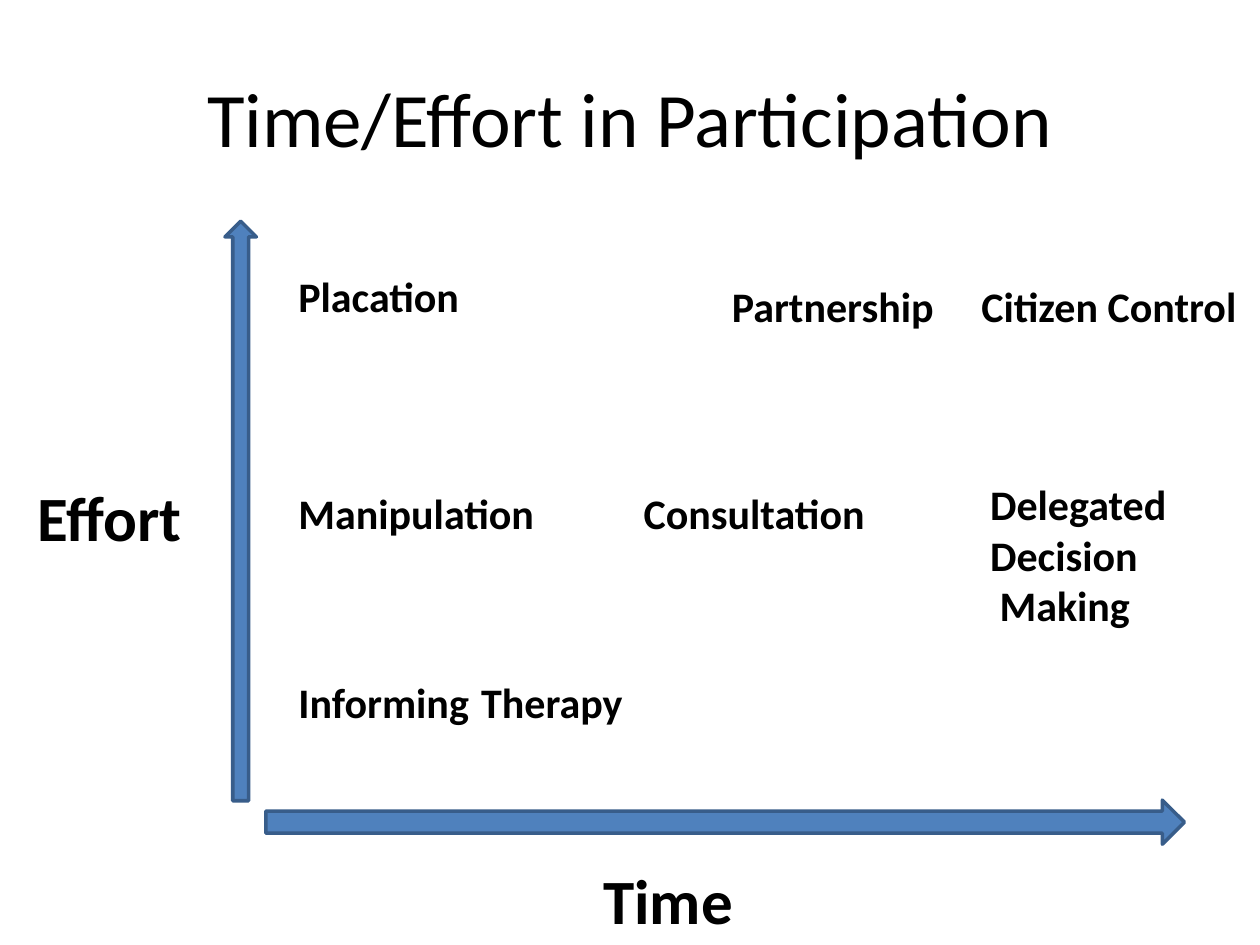
from dataclasses import dataclass

from pptx import Presentation
from pptx.dml.color import RGBColor
from pptx.enum.shapes import MSO_SHAPE
from pptx.enum.text import MSO_ANCHOR, PP_ALIGN
from pptx.util import Inches, Pt

ARROW = MSO_SHAPE.RIGHT_ARROW
MIDDLE = MSO_ANCHOR.MIDDLE
CENTER = PP_ALIGN.CENTER

COLORS = {"text": "000000", "fill": "4F81BD", "line": "385D8A"}
ROWS = {"high": 2.18, "mid": 3.82, "low": 5.32}
LEFT = 2.27


@dataclass
class Label:
    text: str
    left: float
    top: float
    width: float
    height: float = 0.5
    size: int = 24


@dataclass
class Axis:
    left: float
    top: float
    width: float
    height: float
    turn: int = 0


LABELS = [
    Label("Manipulation", LEFT, ROWS["mid"], 2.15),
    Label("Citizen Control", 7.69, ROWS["high"], 2.31),
    Label("Placation", LEFT, 2.1, 1.54),
    Label("Informing", LEFT, ROWS["low"], 1.61),
    Label("Partnership", 5.71, ROWS["high"], 1.87),
    Label("Consultation", 5.01, ROWS["mid"], 2.04),
    Label("Therapy", 3.72, ROWS["low"], 1.37),
    Label("Delegated Decision\n Making", 7.76, 3.75, 2.14, 1.3),
    Label("Effort", 0.2, 3.75, 1.41, 0.7, 36),
    Label("Time", 4.69, 6.79, 1.41, 0.7, 36),
]
AXES = [Axis(2.11, 6.35, 7.29, 0.35), Axis(-0.39, 3.93, 4.6, 0.25, 270)]


def color(name: str) -> RGBColor:
    return RGBColor.from_string(COLORS[name])


def style(frame, size: int, bold: bool) -> None:
    form = {"name": "Calibri", "size": Pt(size), "bold": bold}
    for para in frame.paragraphs:
        for run in para.runs:
            for key, value in form.items():
                setattr(run.font, key, value)
            run.font.color.rgb = color("text")


def place(shape, left: float, top: float, width: float, height: float) -> None:
    spots = {"left": left, "top": top, "width": width, "height": height}
    for key, value in spots.items():
        setattr(shape, key, Inches(value))


def add_title(slide, text: str) -> None:
    title = slide.shapes.title
    place(title, 0.5, 0.3, 9, 1.25)
    frame = title.text_frame
    frame.text = text
    frame.vertical_anchor = MIDDLE
    frame.paragraphs[0].alignment = CENTER
    style(frame, 44, False)


def add_axis(slide, axis: Axis) -> None:
    spot = map(Inches, (axis.left, axis.top, axis.width, axis.height))
    shape = slide.shapes.add_shape(ARROW, *spot)
    shape.rotation = axis.turn
    shape.shadow.inherit = False
    shape.fill.solid()
    shape.fill.fore_color.rgb = color("fill")
    shape.line.color.rgb = color("line")
    shape.line.width = Pt(2)


def add_label(slide, label: Label) -> None:
    spot = map(Inches, (label.left, label.top, label.width, label.height))
    frame = slide.shapes.add_textbox(*spot).text_frame
    frame.word_wrap = True
    frame.text = label.text
    style(frame, label.size, True)


def main() -> None:
    deck = Presentation()
    deck.slide_width = Inches(10)
    deck.slide_height = Inches(7.5)
    slide = deck.slides.add_slide(deck.slide_layouts[5])
    add_title(slide, "Time/Effort in Participation")
    for axis in AXES:
        add_axis(slide, axis)
    for label in LABELS:
        add_label(slide, label)
    deck.save("out.pptx")


if __name__ == "__main__":
    main()
